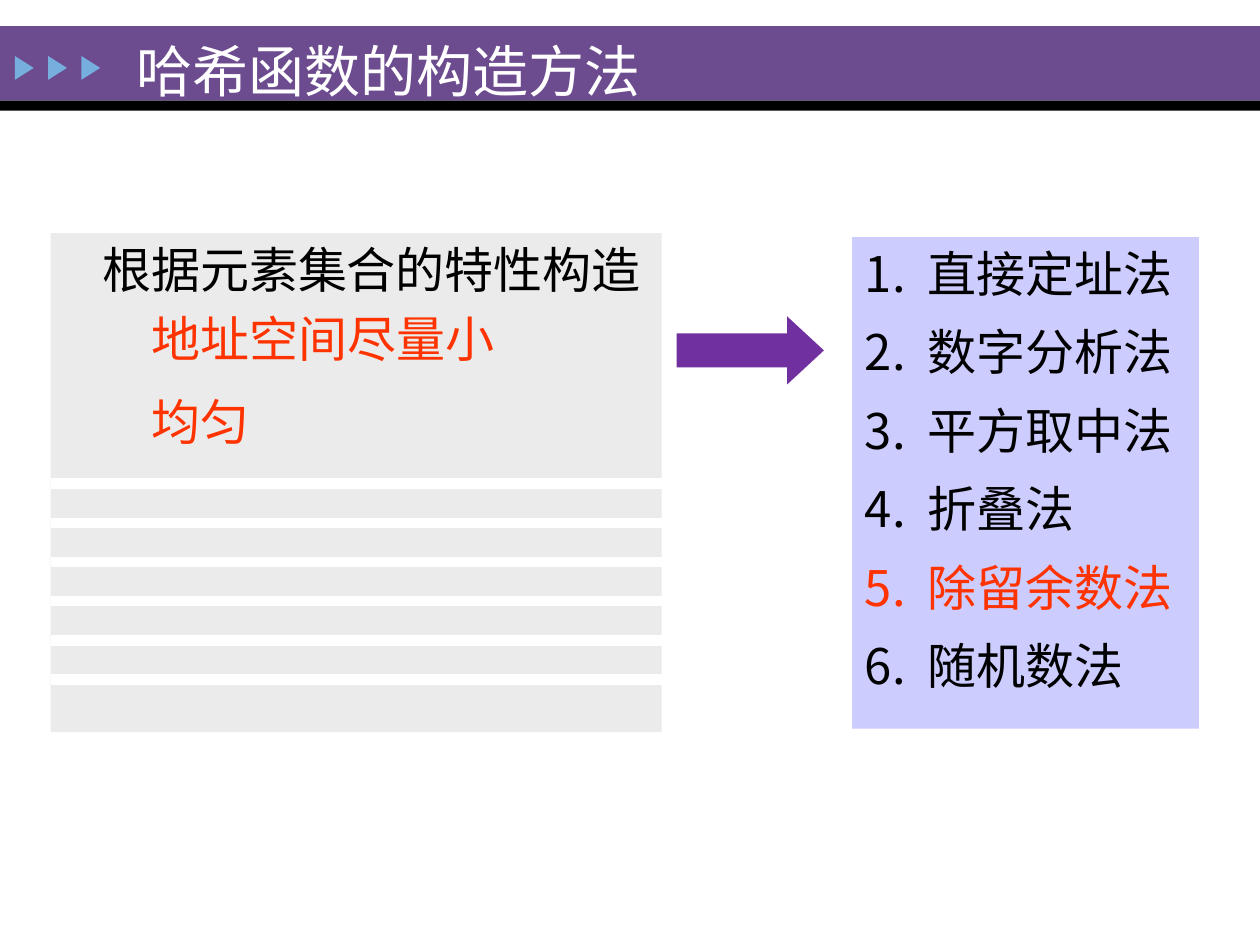
from lxml import etree
from pptx import Presentation
from pptx.dml.color import RGBColor
from pptx.enum.shapes import MSO_CONNECTOR, MSO_SHAPE
from pptx.enum.text import MSO_ANCHOR, MSO_AUTO_SIZE, PP_ALIGN
from pptx.oxml.ns import qn
from pptx.util import Cm, Pt

RECTANGLE = MSO_SHAPE.RECTANGLE
TRIANGLE = MSO_SHAPE.ISOSCELES_TRIANGLE
RIGHT_ARROW = MSO_SHAPE.RIGHT_ARROW
STRAIGHT = MSO_CONNECTOR.STRAIGHT
TOP, MIDDLE = MSO_ANCHOR.TOP, MSO_ANCHOR.MIDDLE
NO_AUTOFIT = MSO_AUTO_SIZE.NONE
LEFT = PP_ALIGN.LEFT

TWO_CONTENT_LAYOUT = 3
FONT = "Calibri"
BLACK, WHITE, RED = "000000", "FFFFFF", "FF3300"
PURPLE, ARROW_PURPLE, SKY = "6C4C8F", "7030A0", "76AEDD"
GREY, LAVENDER = "EBEBEB", "CCCCFF"

REQUIREMENTS = [
    # text, colour, first-line indent in cm, space before in points
    ("根据元素集合的特性构造", BLACK, 0.79, 0),
    ("地址空间尽量小", RED, 1.78, 5.6),
    ("均匀", RED, 1.78, 14),
]
METHODS = [
    ("直接定址法", BLACK),
    ("数字分析法", BLACK),
    ("平方取中法", BLACK),
    ("折叠法", BLACK),
    ("除留余数法", RED),
    ("随机数法", BLACK),
]


def paint(target, colour):
    target.fill.solid()
    target.fill.fore_color.rgb = RGBColor.from_string(colour)


def add_block(page, kind, box, colour):
    shape = page.shapes.add_shape(kind, *(Cm(length) for length in box))
    shape.shadow.inherit = False
    paint(shape, colour)
    shape.line.fill.background()
    return shape


def place(holder, box, anchor):
    """Move a placeholder to the box and return its text frame."""
    holder.left, holder.top, holder.width, holder.height = map(Cm, box)
    frame = holder.text_frame
    frame.word_wrap = True
    frame.auto_size = NO_AUTOFIT
    frame.vertical_anchor = anchor
    return frame


def add_text(para, text, size, colour, space_before=0):
    para.alignment = LEFT
    para.space_before = Pt(space_before)
    span = para.add_run()
    span.text = text
    span.font.name = FONT
    span.font.size = Pt(size)
    span.font.color.rgb = RGBColor.from_string(colour)


def set_indent(para, margin, first_line, numbered=False):
    properties = para._p.get_or_add_pPr()
    properties.set("marL", str(Cm(margin)))
    properties.set("indent", str(Cm(first_line)))
    if numbered:
        bullet = etree.SubElement(properties, qn("a:buAutoNum"))
        bullet.set("type", "arabicPeriod")
    else:
        etree.SubElement(properties, qn("a:buNone"))


def next_para(frame, index):
    return frame.add_paragraph() if index else frame.paragraphs[0]


def draw_banner(page, left, top, width):
    add_block(page, RECTANGLE, (left, top, width, 1.5), PURPLE)
    add_block(page, RECTANGLE, (left, top + 1.5, width, 0.2), BLACK)
    for index in range(3):
        marker_box = (left + 0.25 + index * 0.67, top + 0.65, 0.48, 0.38)
        add_block(page, TRIANGLE, marker_box, SKY).rotation = 90

    title = page.shapes.title
    title.element.getparent().append(title.element)  # in front of the banner
    frame = place(title, (left + 2.49, top + 0.18, 11.96, 1.42), MIDDLE)
    add_text(frame.paragraphs[0], "哈希函数的构造方法", 32, WHITE)


def draw_requirements(page, holder, box):
    paint(holder, GREY)
    frame = place(holder, box, TOP)
    for index, (text, colour, indent, space) in enumerate(REQUIREMENTS):
        para = next_para(frame, index)
        set_indent(para, 0, indent)
        add_text(para, text, 28, colour, space)

    left, top, width, _ = box
    for index in range(6):
        y = Cm(top + 5.05 + index * 0.79)
        rule = page.shapes.add_connector(
            STRAIGHT, Cm(left), y, Cm(left + width), y)
        rule.line.color.rgb = RGBColor.from_string(WHITE)
        rule.line.width = Pt(6)
        etree.SubElement(rule._element.spPr, qn("a:effectLst"))


def draw_methods(holder, box):
    paint(holder, LAVENDER)
    frame = place(holder, box, TOP)
    for index, (text, colour) in enumerate(METHODS):
        para = next_para(frame, index)
        set_indent(para, 1.27, -1.27, numbered=True)
        add_text(para, text, 28, colour, 11.2 if index else 0)


def draw_arrow(page, box):
    arrow = add_block(page, RIGHT_ARROW, box, ARROW_PURPLE)
    arrow.adjustments[0] = 0.5
    arrow.adjustments[1] = 0.54


def main():
    deck = Presentation()
    deck.slide_width, deck.slide_height = Cm(25.4), Cm(19.05)
    page = deck.slides.add_slide(deck.slide_layouts[TWO_CONTENT_LAYOUT])
    _, requirements, methods = page.placeholders

    draw_banner(page, 0, 0.53, 25.4)
    draw_requirements(page, requirements, (1.02, 4.7, 12.32, 10.06))
    draw_methods(methods, (17.18, 4.78, 6.99, 9.91))
    draw_arrow(page, (13.64, 6.38, 2.97, 1.37))
    deck.save("out.pptx")


if __name__ == "__main__":
    main()
